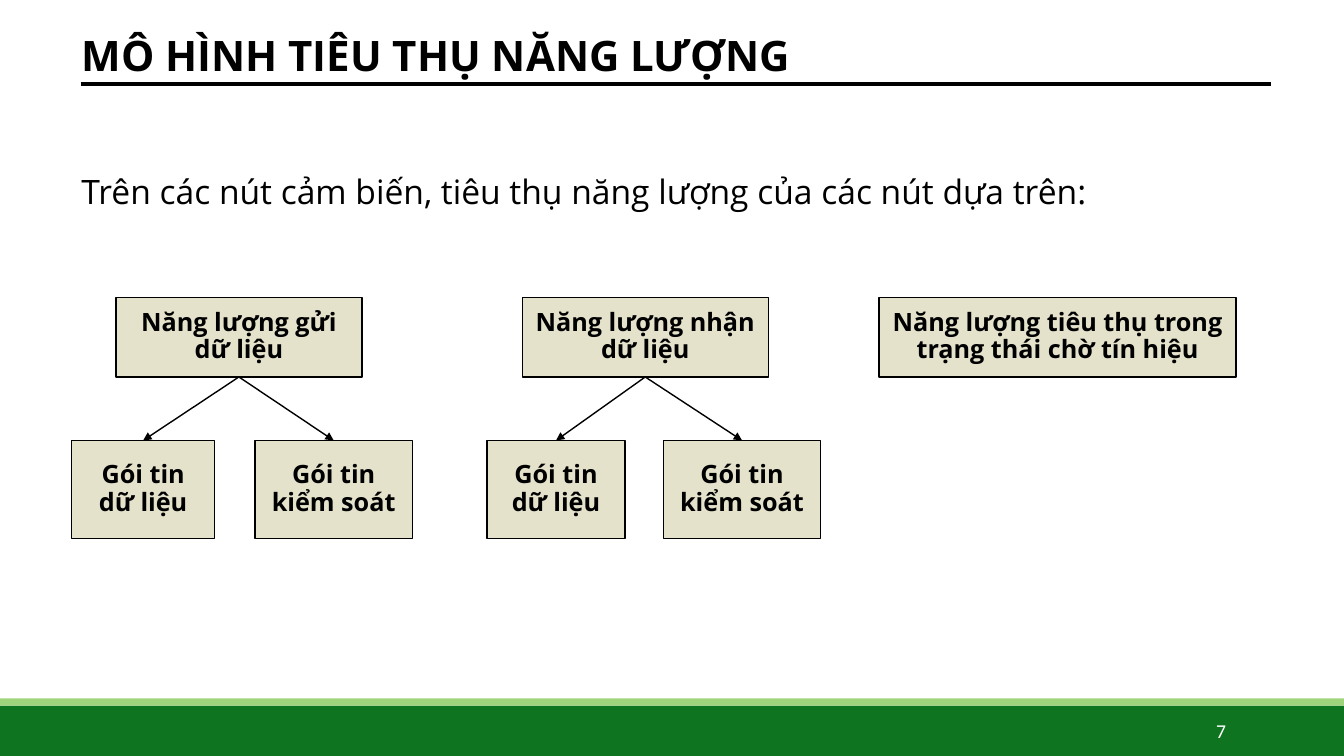
from lxml import etree
from pptx import Presentation
from pptx.dml.color import RGBColor
from pptx.enum.shapes import MSO_CONNECTOR, MSO_SHAPE
from pptx.enum.text import MSO_ANCHOR, MSO_AUTO_SIZE, PP_ALIGN
from pptx.oxml.ns import qn
from pptx.util import Inches, Pt

BLACK = RGBColor(0x00, 0x00, 0x00)
WHITE = RGBColor(0xFF, 0xFF, 0xFF)
GREEN = RGBColor(0x0E, 0x74, 0x1F)
LIME = RGBColor(0x9F, 0xD4, 0x7D)
SAND = RGBColor(0xE5, 0xE2, 0xCC)
LEFT, RIGHT, CENTER, FULL = PP_ALIGN.LEFT, PP_ALIGN.RIGHT, PP_ALIGN.CENTER, PP_ALIGN.JUSTIFY
TOP, MIDDLE = MSO_ANCHOR.TOP, MSO_ANCHOR.MIDDLE
RECT, LINE = MSO_SHAPE.RECTANGLE, MSO_CONNECTOR.STRAIGHT

WIDE, HIGH = 13.33, 7.5
EDGE = 0.71
TOP_ROW, TOP_HIGH = 2.95, 0.79
LOW_ROW, LOW_HIGH = 4.37, 0.97

deck = Presentation()
deck.slide_width, deck.slide_height = Inches(WIDE), Inches(HIGH)
slide = deck.slides.add_slide(deck.slide_layouts[5])
shapes = slide.shapes


def write(shape, text, size=18, font="Open Sans", color=BLACK, bold=False,
          align=CENTER, anchor=MIDDLE, inset=0.05):
    frame = shape.text_frame
    frame.word_wrap = True
    frame.auto_size = MSO_AUTO_SIZE.NONE
    frame.vertical_anchor = anchor
    frame.margin_left = frame.margin_right = Inches(0.1)
    frame.margin_top = frame.margin_bottom = Inches(inset)
    para = frame.paragraphs[0]
    para.alignment = align
    para.line_spacing = 0.9
    run = para.add_run()
    run.text = text
    run.font.name, run.font.size, run.font.bold = font, Pt(size), bold
    run.font.color.rgb = color


def link(start, end, width, arrow=False):
    """Draw a black line between two points, with an arrowhead at its end if asked."""
    line = shapes.add_connector(LINE, *map(Inches, start + end))
    line.line.color.rgb = BLACK
    line.line.width = Pt(width)
    props = line.line._get_or_add_ln()
    if arrow:
        etree.SubElement(props, qn("a:tailEnd"), type="triangle")
    etree.SubElement(props.getparent(), qn("a:effectLst"))


# Footer bands and the rule under the title
for y, tall, color in [(7, 0.5, GREEN), (6.93, 0.07, LIME)]:
    band = shapes.add_shape(RECT, 0, Inches(y), Inches(WIDE), Inches(tall))
    band.shadow.inherit = False
    band.fill.solid()
    band.fill.fore_color.rgb = color
    band.line.fill.background()
link((0.8, 0.83), (12.61, 0.83), 3)

# Title, lead sentence and page number
title = shapes.title
title.left, title.top, title.width, title.height = map(Inches, (EDGE, 0.3, 7.56, 0.61))
write(title, "MÔ HÌNH TIÊU THỤ NĂNG LƯỢNG", size=30, bold=True, align=LEFT, anchor=TOP)

lead = shapes.add_textbox(*map(Inches, (EDGE, 1.64, 11.89, 0.61)))
write(lead, "Trên các nút cảm biến, tiêu thụ năng lượng của các nút dựa trên:",
      size=24, align=FULL, anchor=TOP, inset=0.1)

page = shapes.add_textbox(*map(Inches, (10.83, 7.06, 1.43, 0.4)))
write(page, "7", size=14, font="Calibri", color=WHITE, align=RIGHT)

# Energy kinds: text, left, width, then the packets below as text, left, width
DATA, CONTROL = "Gói tin dữ liệu", "Gói tin kiểm soát"
kinds = [
    ("Năng lượng gửi dữ liệu", 1.15, 2.44, [(DATA, EDGE, 1.42), (CONTROL, 2.53, 1.56)]),
    ("Năng lượng nhận dữ liệu", 5.18, 2.44, [(DATA, 4.83, 1.37), (CONTROL, 6.58, 1.56)]),
    ("Năng lượng tiêu thụ trong trạng thái chờ tín hiệu", 8.72, 3.54, []),
]
boxes = []
for text, x, wide, packets in kinds:
    boxes.append((text, x, TOP_ROW, wide, TOP_HIGH))
    boxes += [(name, px, LOW_ROW, pw, LOW_HIGH) for name, px, pw in packets]

for text, *place in boxes:
    box = shapes.add_shape(RECT, *map(Inches, place))
    box.shadow.inherit = False
    box.fill.solid()
    box.fill.fore_color.rgb = SAND
    box.line.color.rgb = BLACK
    box.line.width = Pt(1)
    write(box, text, bold=True)

for _, x, wide, packets in kinds:
    for _, px, pw in packets:
        link((x + wide / 2, TOP_ROW + TOP_HIGH), (px + pw / 2, LOW_ROW), 1, arrow=True)

deck.save("out.pptx")
